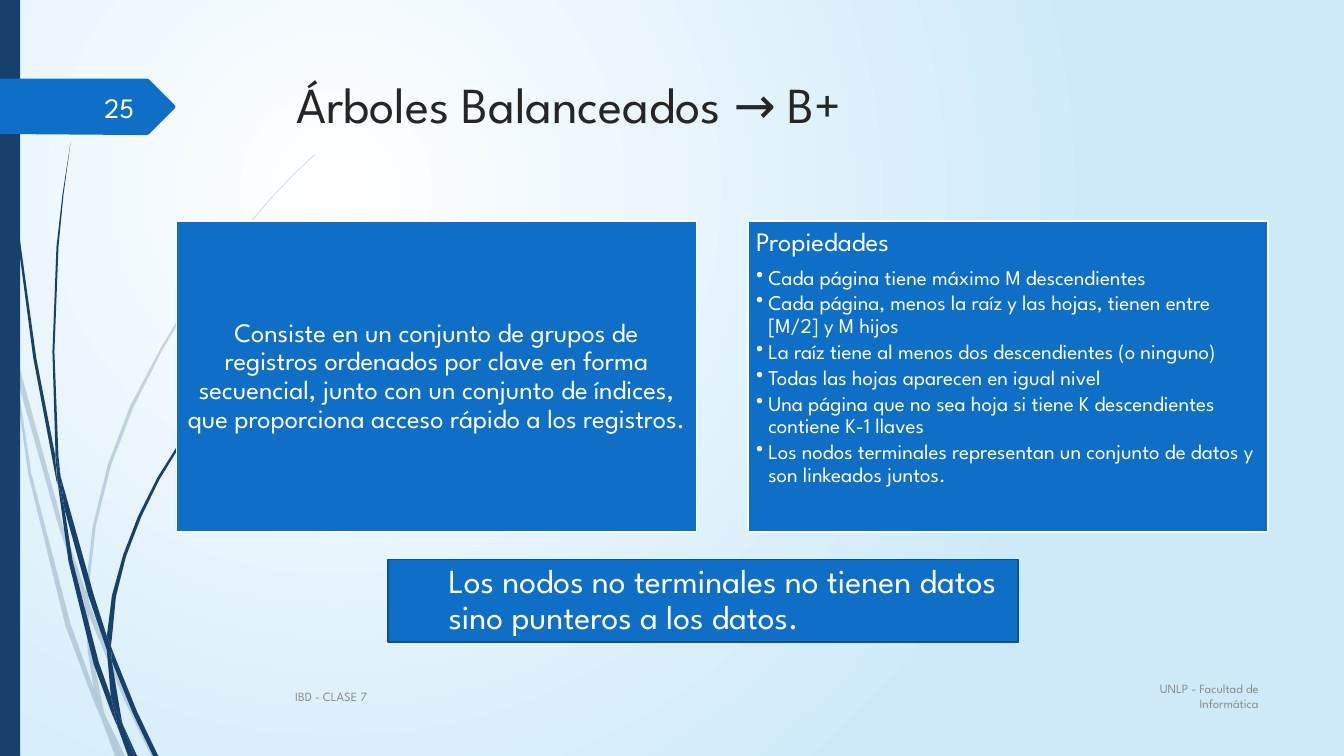
from dataclasses import dataclass

from lxml.etree import SubElement
from pptx import Presentation
from pptx.dml.color import RGBColor
from pptx.enum.shapes import MSO_SHAPE
from pptx.enum.text import MSO_ANCHOR, PP_ALIGN
from pptx.oxml.ns import qn
from pptx.util import Inches, Pt

FONT = "League Spartan"
COLORS = {
    "white": "FFFFFF", "sky": "CEEAF9", "navy": "17406D", "blue": "0F6FC6",
    "edge": "0B5292", "title": "262626", "footer": "8C8C8C", "number": "FEFFFF",
}

PALE_BLADES = [
    "0.11,3.5 0.09,3.22 0,2.82 0,2.99 0.1,3.44",
    "0.58,5.22 0.84,5.99 0.85,5.86 0.62,5.2 0.14,3.45 0.17,3.76",
    "0.92,6.07 0.88,5.96 0.88,6.1 1.23,6.94 1.5,7.5 1.55,7.5 1.27,6.92",
    "1.19,7.5 1.24,7.5 1.05,7.11",
    "0.93,6.83 0.7,6.19 0.31,4.69 0.17,3.76 0.11,3.5 0.28,4.7 0.65,6.21 0.92,6.93 1.01,7.14 0.99,7.07",
    "0.84,5.99 0.87,6.46 0.93,6.83 0.96,6.92 1.05,7.11 1.03,7.06 0.91,6.46 0.88,6.1 0.88,6.08",
    "0.88,5.84 0.95,5.22 1.1,4.62 1.32,4.05 1.6,3.49 1.92,2.95 2.29,2.45 2.68,1.98 2.9,1.75 3.12,1.54 "
    "3.12,1.53 2.89,1.75 2.68,1.97 2.28,2.44 1.9,2.94 1.58,3.48 1.29,4.03 1.07,4.61 0.92,5.22 0.85,5.84 "
    "0.85,5.86 0.88,5.96",
    "1.01,7.14 1.14,7.5 1.19,7.5",
    "0.88,6.08 0.88,6.1 0.88,5.96 0.85,5.86 0.84,5.99",
    "0.96,6.92 0.93,6.83 0.99,7.07 1.01,7.14 1.19,7.5 1.05,7.11",
]
DARK_BLADES = [
    "0.07,1.1 0.17,2.33 0.33,3.55 0.56,4.77 0.57,4.81 0.55,4.57 0.55,4.53 0.36,3.55 0.19,2.32 0.08,1.09 "
    "0.05,0.48 0.04,0 0.03,0 0.04,0.48",
    "0.88,5.92 1.06,6.45 1.06,6.33 1.06,6.31 0.93,5.9 0.6,4.72 0.64,5.05",
    "1.13,6.49 1.1,6.41 1.11,6.56 1.32,7.08 1.52,7.5 1.57,7.5 1.36,7.06",
    "1.1,6.91 0.98,6.57 0.72,5.56 0.64,5.05 0.57,4.77 0.68,5.57 0.93,6.59 1.11,7.08 1.17,7.22 1.16,7.17",
    "0.6,4.72 0.58,4.53 0.54,3.49 0.58,2.45 0.63,1.93 0.7,1.41 0.62,1.93 0.56,2.45 0.52,3.49 0.55,4.49",
    "1.33,7.5 1.36,7.5 1.22,7.19",
    "0.57,4.77 0.64,5.05 0.6,4.72 0.55,4.49 0.55,4.53",
    "1.11,6.33 1.15,5.92 1.25,5.52 1.4,5.13 1.58,4.76 1.8,4.4 2.05,4.06 2.31,3.74 2.45,3.59 2.61,3.44 "
    "2.6,3.44 2.45,3.58 2.31,3.73 2.04,4.05 1.78,4.39 1.56,4.74 1.37,5.12 1.22,5.51 1.11,5.91 1.06,6.31 1.1,6.41",
    "1.17,7.22 1.27,7.5 1.31,7.5",
    "1.06,6.45 1.1,6.91 1.16,7.06 1.22,7.19 1.21,7.16 1.11,6.56 1.09,6.51",
    "1.06,6.45 1.09,6.51 1.11,6.56 1.1,6.41 1.06,6.31 1.06,6.33",
    "1.16,7.06 1.1,6.91 1.16,7.17 1.17,7.22 1.3,7.5 1.33,7.5 1.22,7.19",
]
NUMBER_TAG = "1.73,1.08 1.48,1.33 1.46,1.34 1.36,1.34 0,1.33 0,0.78 1.46,0.78 1.48,0.79 1.73,1.04 1.74,1.06"

DEFINITION = (
    "Consiste en un conjunto de grupos de registros ordenados por clave en forma secuencial, "
    "junto con un conjunto de índices, que proporciona acceso rápido a los registros."
)
PROPERTIES = [
    "Cada página tiene máximo M descendientes",
    "Cada página, menos la raíz y las hojas, tienen entre [M/2] y M hijos",
    "La raíz tiene al menos dos descendientes (o ninguno)",
    "Todas las hojas aparecen en igual nivel",
    "Una página que no sea hoja si tiene K descendientes contiene K-1 llaves",
    "Los nodos terminales representan un conjunto de datos y son linkeados juntos.",
]


@dataclass
class Label:
    text: str
    box: tuple
    size: float
    color: str
    align: PP_ALIGN = PP_ALIGN.LEFT
    anchor: MSO_ANCHOR = MSO_ANCHOR.MIDDLE


LABELS = [
    Label("Árboles Balanceados → B+", (2.84, 0.68, 9.75, 1.4), 36, "title", anchor=MSO_ANCHOR.TOP),
    Label("UNLP - Facultad de Informática", (11.33, 6.7, 1.25, 0.41), 9, "footer", PP_ALIGN.RIGHT),
    Label("IBD - CLASE 7", (2.83, 6.71, 8.33, 0.4), 9, "footer"),
    Label("25", (0.58, 0.86, 0.85, 0.4), 20, "number", PP_ALIGN.RIGHT),
]


def rgb(name: str) -> RGBColor:
    return RGBColor.from_string(COLORS[name])


def paint_background(slide) -> None:
    fill = slide.background.fill
    fill.gradient()
    for stop, name in zip(fill.gradient_stops, ("white", "sky")):
        stop.color.rgb = rgb(name)
    gradient = slide.element.find(".//" + qn("a:gradFill"))
    gradient.remove(gradient.find(qn("a:lin")))
    circle = SubElement(gradient, qn("a:path"), {"path": "circle"})
    SubElement(circle, qn("a:fillToRect"), {"l": "50000", "t": "50000", "r": "100000", "b": "100000"})


def paint(shape, fill: str, line: str | None = None, opacity: int = 100) -> None:
    shape.shadow.inherit = False
    shape.fill.solid()
    shape.fill.fore_color.rgb = rgb(fill)
    if opacity < 100:
        color = shape.element.spPr.find(qn("a:solidFill"))[0]
        SubElement(color, qn("a:alpha"), {"val": str(opacity * 1000)})
    if line:
        shape.line.color.rgb = rgb(line)
        shape.line.width = Pt(1.25)
    else:
        shape.line.fill.background()


def add_outline(slide, outline: str, fill: str, opacity: int = 100) -> None:
    points = [tuple(Inches(float(value)) for value in pair.split(",")) for pair in outline.split()]
    builder = slide.shapes.build_freeform(*points[0])
    builder.add_line_segments(points[1:])
    paint(builder.convert_to_shape(), fill, opacity=opacity)


def add_rectangle(slide, box: tuple, fill: str, line: str | None = None):
    shape = slide.shapes.add_shape(MSO_SHAPE.RECTANGLE, *map(Inches, box))
    paint(shape, fill, line)
    return shape


def prepare_frame(shape, anchor: MSO_ANCHOR, inset: float | None = None):
    frame = shape.text_frame
    frame.word_wrap = True
    frame.vertical_anchor = anchor
    if inset is not None:
        frame.margin_left = frame.margin_right = frame.margin_top = frame.margin_bottom = Inches(inset)
    return frame


def write(paragraph, text: str, *, size: float, color: str = "white", align: PP_ALIGN = PP_ALIGN.LEFT,
          spacing: float | None = None, after: float = 0, margin: float = 0, bullet: bool = False) -> None:
    properties = paragraph._p.get_or_add_pPr()
    if margin:
        properties.set("marL", str(Inches(margin)))
    if bullet:
        properties.set("indent", str(-Inches(margin)))
        SubElement(properties, qn("a:buChar"), {"char": "•"})
    paragraph.alignment = align
    paragraph.line_spacing = spacing
    paragraph.space_after = Pt(after)
    run = paragraph.add_run()
    run.text = text
    run.font.name = FONT
    run.font.size = Pt(size)
    run.font.color.rgb = rgb(color)


def add_label(slide, label: Label) -> None:
    shape = slide.shapes.add_textbox(*map(Inches, label.box))
    frame = prepare_frame(shape, label.anchor)
    write(frame.paragraphs[0], label.text, size=label.size, color=label.color, align=label.align)


def main() -> None:
    presentation = Presentation()
    presentation.slide_width, presentation.slide_height = Inches(13.33), Inches(7.5)
    slide = presentation.slides.add_slide(presentation.slide_layouts[6])
    paint_background(slide)

    for blade in PALE_BLADES:
        add_outline(slide, blade, "navy", opacity=20)
    for blade in DARK_BLADES:
        add_outline(slide, blade, "navy")
    add_rectangle(slide, (0, 0, 0.2, 7.5), "navy")
    add_outline(slide, NUMBER_TAG, "blue")

    definition, properties = [
        add_rectangle(slide, (left, 2.19, 5.16, 3.09), "blue", "white") for left in (1.75, 7.42)
    ]
    frame = prepare_frame(definition, MSO_ANCHOR.MIDDLE, 0.08)
    write(frame.paragraphs[0], DEFINITION, size=19, align=PP_ALIGN.CENTER, spacing=0.9)
    frame = prepare_frame(properties, MSO_ANCHOR.TOP, 0.08)
    write(frame.paragraphs[0], "Propiedades", size=19, spacing=0.9, after=6.65)
    for item in PROPERTIES:
        write(frame.add_paragraph(), item, size=15, spacing=0.9, after=2.25, margin=0.12, bullet=True)

    conclusion = add_rectangle(slide, (3.85, 5.55, 6.25, 0.82), "blue", "edge")
    frame = prepare_frame(conclusion, MSO_ANCHOR.MIDDLE)
    write(frame.paragraphs[0], "Los nodos no terminales no tienen datos sino punteros a los datos.",
          size=24, spacing=0.9, margin=0.5)

    for label in LABELS:
        add_label(slide, label)
    presentation.save("out.pptx")


if __name__ == "__main__":
    main()
